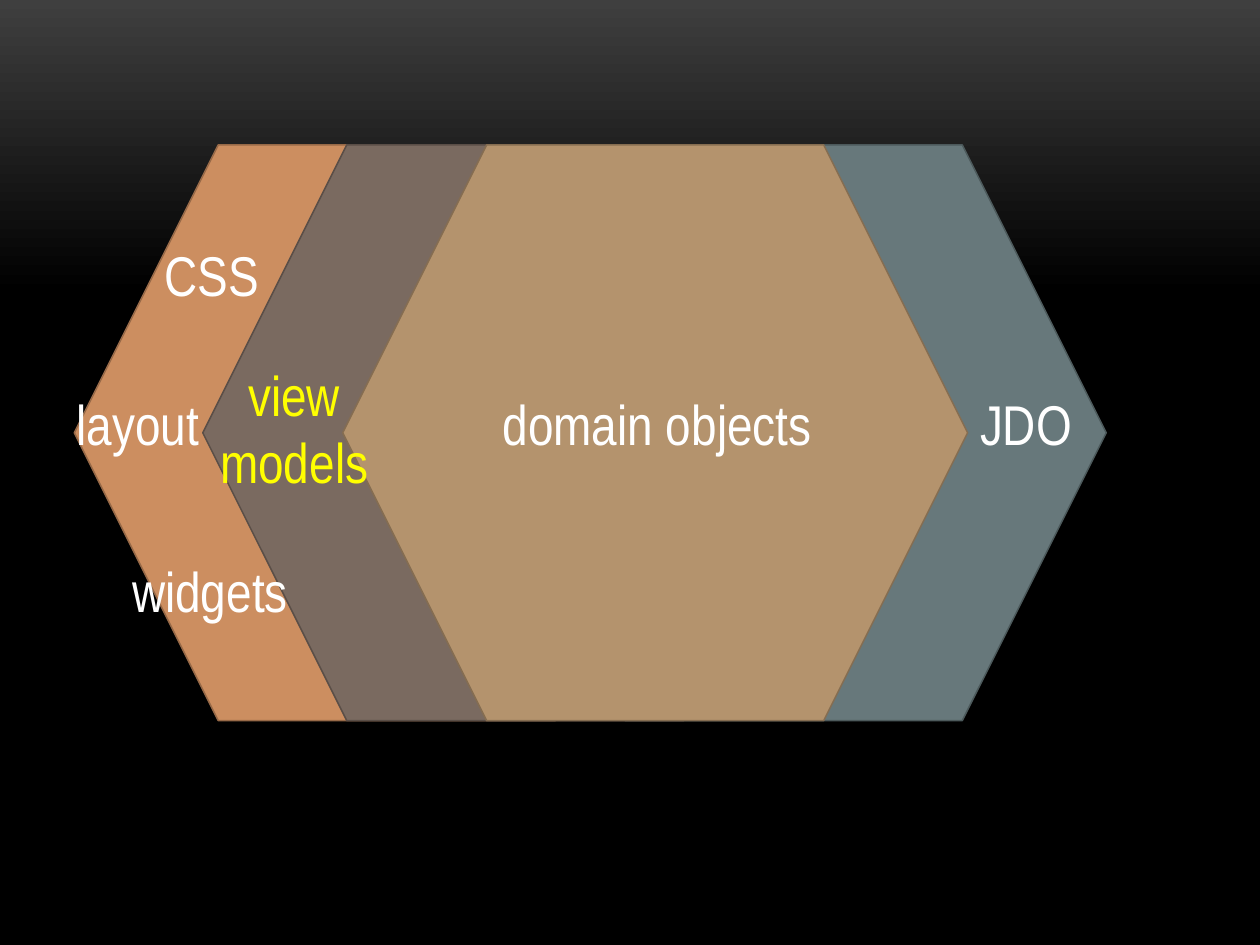
from copy import deepcopy
from pptx import Presentation
from pptx import util as u
from pptx.dml.color import RGBColor
from pptx.enum import shapes, text

HUES = {
    "top": "3F3F3F", "base": "000000", "white": "FFFFFF", "yellow": "FFFF00",
    "teal": "67787B", "teal edge": "4C595B",
    "orange": "CC8E60", "orange edge": "976947",
    "brown": "7A6A60", "brown edge": "5A4E47",
    "tan": "B4936D", "tan edge": "856D51",
}
FONT = "Arial Narrow"
LAYERS = [(3.82, "teal"), (0.59, "orange"), (1.61, "brown"), (2.72, "tan")]
TOP, WIDE, HIGH = 1.15, 4.96, 4.57
LABELS = [
    ("domain objects", 3.89, 3.04, 2.68, "white"),
    ("JDO", 7.68, 3.04, 0.94, "white"),
    ("layout", 0.51, 3.04, 1.19, "white"),
    ("CSS", 1.21, 1.86, 0.96, "white"),
    ("widgets", 0.95, 4.37, 1.45, "white"),
    ("view\vmodels", 1.64, 2.81, 1.39, "yellow"),
]
LINE, PAD = 0.54, 0.1


def hue(name):
    return RGBColor.from_string(HUES[name])


def paint(slide):
    fill = slide.background.fill
    fill.gradient()
    fill.gradient_angle = 270
    stops = fill.gradient_stops
    for stop, (spot, name) in zip(stops, [(0, "top"), (0.31, "base")]):
        stop.position = spot
        stop.color.rgb = hue(name)
    group = slide.background._cSld.find(".//{*}gsLst")
    last = deepcopy(group[-1])
    last.set("pos", "100000")
    group.append(last)


def add_layer(slide, left, name):
    box = map(u.Inches, (left, TOP, WIDE, HIGH))
    hexa = slide.shapes.add_shape(shapes.MSO_SHAPE.HEXAGON, *box)
    hexa.shadow.inherit = False
    hexa.fill.solid()
    hexa.fill.fore_color.rgb = hue(name)
    hexa.line.color.rgb = hue(name + " edge")
    hexa.line.width = u.Pt(0.85)


def add_label(slide, words, left, top, wide, name):
    rows = words.count("\v") + 1
    box = map(u.Inches, (left, top, wide, rows * LINE + PAD))
    frame = slide.shapes.add_textbox(*box).text_frame
    frame.word_wrap = False
    frame.auto_size = text.MSO_AUTO_SIZE.SHAPE_TO_FIT_TEXT
    frame.text = words
    para = frame.paragraphs[0]
    if rows > 1:
        para.alignment = text.PP_ALIGN.CENTER
    for run in para.runs:
        run.font.name = FONT
        run.font.size = u.Pt(32)
        run.font.color.rgb = hue(name)


def main():
    deck = Presentation()
    deck.slide_width, deck.slide_height = u.Inches(10), u.Inches(7.5)
    slide = deck.slides.add_slide(deck.slide_layouts[6])
    paint(slide)
    for layer in LAYERS:
        add_layer(slide, *layer)
    for label in LABELS:
        add_label(slide, *label)
    deck.save("out.pptx")


if __name__ == "__main__":
    main()
